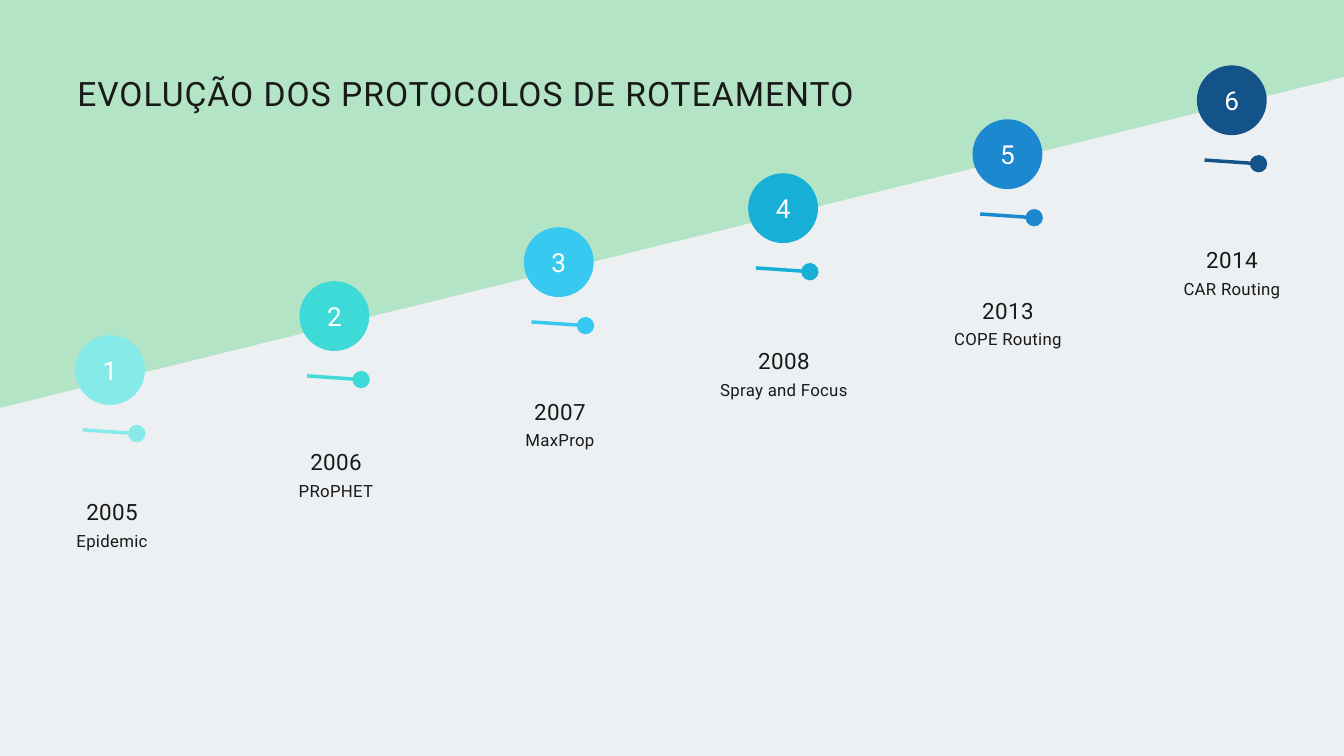
from lxml.etree import SubElement
from pptx import Presentation
from pptx.dml.color import RGBColor
from pptx.enum.shapes import MSO_CONNECTOR, MSO_SHAPE
from pptx.enum.text import MSO_ANCHOR, MSO_AUTO_SIZE, PP_ALIGN
from pptx.oxml.ns import qn
from pptx.util import Cm, Pt

GREEN = RGBColor(0xB3, 0xE4, 0xC5)
PALE = RGBColor(0xED, 0xF0, 0xF2)
INK = RGBColor(0x19, 0x19, 0x19)
WHITE = RGBColor(0xFF, 0xFF, 0xFF)

MILESTONES = [
    ("2005", "Epidemic", RGBColor(0x86, 0xEA, 0xE9)),
    ("2006", "PRoPHET", RGBColor(0x3E, 0xDA, 0xD8)),
    ("2007", "MaxProp", RGBColor(0x37, 0xC9, 0xEF)),
    ("2008", "Spray and Focus", RGBColor(0x18, 0xAF, 0xD6)),
    ("2013", "COPE Routing", RGBColor(0x1C, 0x88, 0xCF)),
    ("2014", "CAR Routing", RGBColor(0x13, 0x53, 0x8A)),
]


class TimelineSlide:
    font_name = "Roboto"

    def __init__(self, slide):
        self.slide = slide
        self.shapes = slide.shapes
        fill = slide.background.fill
        fill.solid()
        fill.fore_color.rgb = GREEN

    def format_paragraph(self, para, size, color, align, leading=None, tracking=0):
        para.alignment = align
        if leading:
            para.line_spacing = Pt(leading)
        for span in para.runs:
            span.font.name = self.font_name
            span.font.size = Pt(size)
            span.font.color.rgb = color
            span.font.bold = False
            if tracking:
                span.font._element.set("spc", str(tracking))

    def paint(self, shape, color):
        shape.shadow.inherit = False
        shape.fill.solid()
        shape.fill.fore_color.rgb = color
        shape.line.fill.background()

    def clear_margins(self, frame):
        frame.margin_left = frame.margin_right = 0
        frame.margin_top = frame.margin_bottom = 0

    def table(self, milestones):
        table = self.shapes.add_table(
            1, len(milestones), 0, 0, Cm(50.8), Cm(28.65)
        ).table
        table.first_row = table.horz_banding = False
        for index, (year, protocol, _) in enumerate(milestones):
            self.cell(table.cell(0, index), year, protocol, 18.63 - 1.905 * index)

    def cell(self, cell, year, protocol, top):
        properties = cell._tc.get_or_add_tcPr()
        for side in ("a:lnL", "a:lnR", "a:lnT", "a:lnB"):
            border = SubElement(properties, qn(side), w="0")
            SubElement(border, qn("a:noFill"))
        cell.fill.solid()
        cell.fill.fore_color.rgb = PALE
        cell.margin_left = cell.margin_right = cell.margin_bottom = Cm(0.53)
        cell.margin_top = Cm(top)
        cell.vertical_anchor = MSO_ANCHOR.TOP
        cell.text_frame.text = f"{year}\n{protocol}"
        heading, detail = cell.text_frame.paragraphs
        self.format_paragraph(heading, 24, INK, PP_ALIGN.CENTER, 36, 40)
        self.format_paragraph(detail, 18, INK, PP_ALIGN.CENTER, 27, 30)

    def slope(self, points):
        corners = [(Cm(x), Cm(y)) for x, y in points]
        builder = self.shapes.build_freeform(*corners[0])
        builder.add_line_segments(corners[1:], close=True)
        self.paint(builder.convert_to_shape(), GREEN)

    def circle(self, number, left, top, color):
        circle = self.shapes.add_shape(
            MSO_SHAPE.OVAL, Cm(left), Cm(top), Cm(2.64), Cm(2.64)
        )
        self.paint(circle, color)
        frame = circle.text_frame
        self.clear_margins(frame)
        frame.vertical_anchor = MSO_ANCHOR.MIDDLE
        frame.text = str(number)
        self.format_paragraph(frame.paragraphs[0], 28, WHITE, PP_ALIGN.CENTER)

    def pin(self, left, top, color):
        pin = self.shapes.add_connector(
            MSO_CONNECTOR.STRAIGHT, Cm(left), Cm(top), Cm(left + 2.04), Cm(top + 0.14)
        )
        pin.line.color.rgb = color
        pin.line.width = Pt(3.75)
        line = pin.line._get_or_add_ln()
        SubElement(line, qn("a:tailEnd"), type="oval", w="lg", len="lg")
        SubElement(pin._element.spPr, qn("a:effectLst"))

    def title(self, text):
        title = self.shapes.title
        title.left, title.top = Cm(2.92), Cm(2.77)
        title.width, title.height = Cm(32.61), Cm(1.52)
        frame = title.text_frame
        self.clear_margins(frame)
        frame.word_wrap = True
        frame.auto_size = MSO_AUTO_SIZE.NONE
        frame.vertical_anchor = MSO_ANCHOR.TOP
        frame.text = text
        self.format_paragraph(frame.paragraphs[0], 36, INK, PP_ALIGN.LEFT, 43.2, 110)
        self.shapes._spTree.append(title._element)


def main():
    deck = Presentation()
    deck.slide_width, deck.slide_height = Cm(50.8), Cm(28.58)
    page = TimelineSlide(deck.slides.add_slide(deck.slide_layouts[5]))

    page.table(MILESTONES)
    page.slope([(0, 0), (50.8, 0), (50.8, 2.91), (0, 15.42)])
    for index, (_, _, color) in enumerate(MILESTONES):
        left, top = 2.84 + 8.48 * index, 12.67 - 2.04 * index
        page.circle(index + 1, left, top, color)
        page.pin(left + 0.29, top + 3.58, color)
    page.title("EVOLUÇÃO DOS PROTOCOLOS DE ROTEAMENTO")

    deck.save("out.pptx")


if __name__ == "__main__":
    main()
